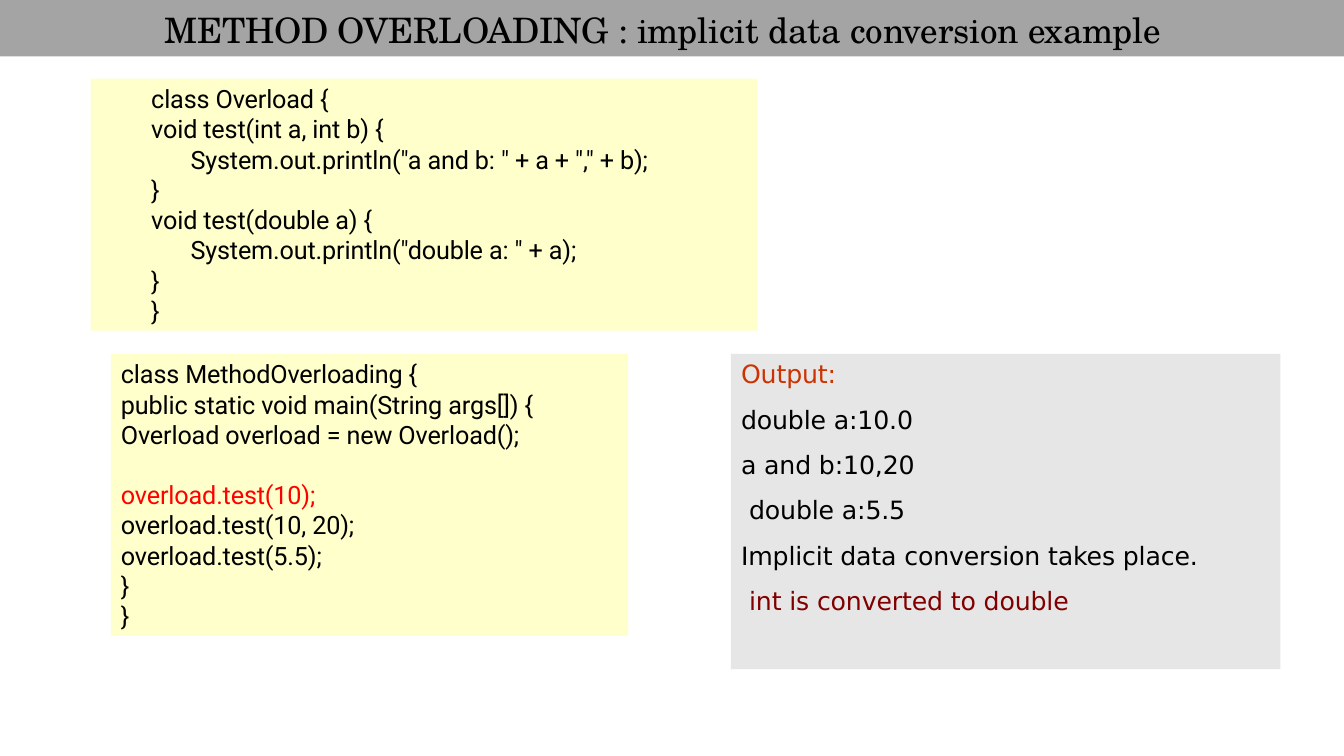
from pptx import Presentation
from pptx.dml.color import RGBColor
from pptx.enum.shapes import MSO_SHAPE
from pptx.enum.text import MSO_ANCHOR, PP_ALIGN
from pptx.util import Inches, Pt

COLORS = {
    "band": "A4A4A4", "code": "FFFFCC", "output": "E7E6E6", "black": "000000",
    "red": "FF0000", "orange": "CC3300", "maroon": "800000",
}


def add_panel(page, place, fill):
    box = page.shapes.add_shape(MSO_SHAPE.RECTANGLE, *[Inches(value) for value in place])
    box.shadow.inherit = False
    box.fill.solid()
    box.fill.fore_color.rgb = RGBColor.from_string(COLORS[fill])
    box.line.fill.background()
    return box


def write_lines(box, lines, font, size, top, spacing=1.0):
    frame = box.text_frame
    layout = {
        "word_wrap": True, "vertical_anchor": MSO_ANCHOR.TOP,
        "margin_left": 0, "margin_right": 0, "margin_bottom": 0, "margin_top": Inches(top),
    }
    for name, value in layout.items():
        setattr(frame, name, value)
    for index, (text, indent, color, before) in enumerate(lines):
        para = frame.paragraphs[0] if index == 0 else frame.add_paragraph()
        para.alignment = PP_ALIGN.LEFT
        para.space_before = Pt(before)
        para.line_spacing = spacing if index else 1.0
        properties = para._p.get_or_add_pPr()
        properties.set("marL", str(Inches(indent)))
        properties.set("indent", "0")
        span = para.add_run()
        span.text = text
        for name, value in {"name": font, "size": Pt(size)}.items():
            setattr(span.font, name, value)
        span.font.color.rgb = RGBColor.from_string(COLORS[color])
        span._r.get_or_add_rPr().set("spc", "-10")


deck = Presentation()
deck.slide_width = Inches(13.33)
deck.slide_height = Inches(7.5)
page = deck.slides.add_slide(deck.slide_layouts[6])

add_panel(page, (0, 0, 13.33, 0.56), "band")
title = page.shapes.add_textbox(Inches(1.62), Inches(0.07), Inches(10.09), Inches(0.44))
heading = "METHOD OVERLOADING : implicit data conversion example"
write_lines(title, [(heading, 0.01, "black", 0)], "TeX Gyre Schola", 25, 0.01)

overload_class = [
    ("class Overload {", 0.6, "black", 0),
    ("void test(int a, int b) {", 0.6, "black", 0),
    ('System.out.println("a and b: " + a + "," + b);', 0.99, "black", 0),
    ("}", 0.6, "black", 0),
    ("void test(double a) {", 0.6, "black", 0),
    ('System.out.println("double a: " + a);', 0.99, "black", 0),
    ("}", 0.6, "black", 0),
    ("}", 0.6, "black", 0),
]
main_class = [
    ("class MethodOverloading {", 0.1, "black", 0),
    ("public static void main(String args[]) {", 0.1, "black", 0),
    ("Overload overload = new Overload();", 0.1, "black", 0),
    ("overload.test(10);", 0.1, "red", 21.4),
    ("overload.test(10, 20);", 0.1, "black", 0),
    ("overload.test(5.5);", 0.1, "black", 0),
    ("}", 0.1, "black", 0),
    ("}", 0.1, "black", 0),
]
output = [
    ("Output:", 0.1, "orange", 0),
    ("double a:10.0", 0.1, "black", 0),
    ("a and b:10,20", 0.1, "black", 0),
    ("double a:5.5", 0.18, "black", 0),
    ("Implicit data conversion takes place.", 0.1, "black", 0),
    ("int is converted to double", 0.18, "maroon", 0),
]
panels = [
    ((0.9, 0.78, 6.61, 2.5), "code", overload_class, "Roboto", 1.0),
    ((1.1, 3.51, 5.13, 2.8), "code", main_class, "Roboto", 1.0),
    ((7.25, 3.51, 5.45, 3.13), "output", output, "DejaVu Sans", 1.5),
]
for place, fill, lines, font, spacing in panels:
    write_lines(add_panel(page, place, fill), lines, font, 18, 0.05, spacing)

deck.save("out.pptx")
